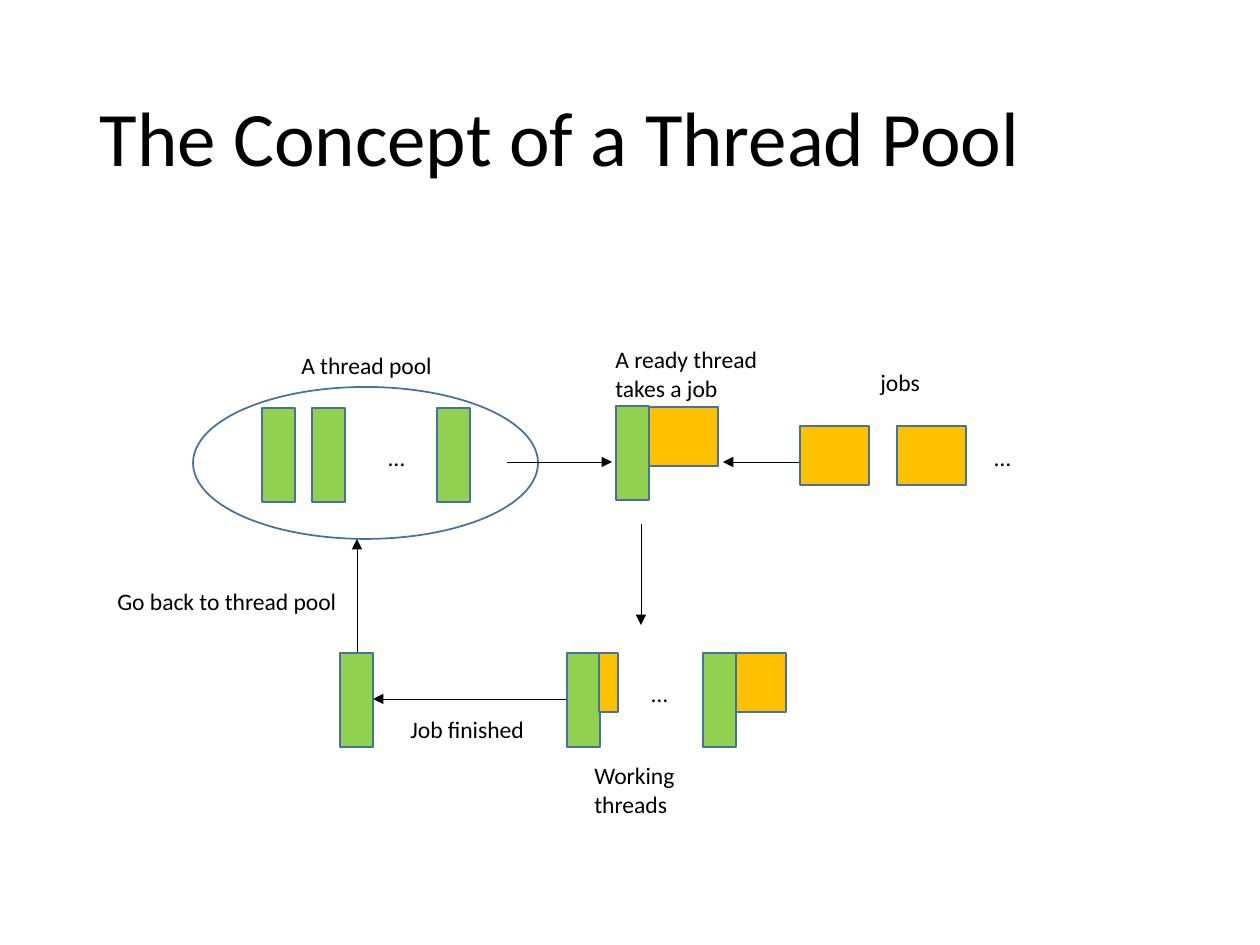
from pptx import Presentation
from pptx import util as u
from pptx.dml.color import RGBColor
from pptx.enum import shapes, text
from pptx.oxml.ns import qn
from lxml import etree

# Content, in pixels at 126 to the inch
TITLE = "The Concept of a Thread Pool"
POOL = (193, 387, 345, 152)
THREADS = [(262, 408), (312, 408), (437, 408), (616, 406),
           (567, 653), (703, 653), (340, 653)]
JOBS = [(800, 426, 69), (897, 426, 69), (649, 407, 69),
        (599, 653, 19), (736, 653, 50)]
ARROWS = [(800, 462, 723, 462), (641, 524, 641, 625), (507, 462, 612, 462),
          (357, 678, 357, 539), (567, 699, 373, 699)]
LABELS = [("A thread pool", 289, 345, 175), ("jobs", 868, 362, 66),
          ("A ready thread takes a job", 603, 339, 192),
          ("Working threads", 582, 755, 180),
          ("Go back to thread pool", 105, 581, 249),
          ("Job finished", 398, 709, 144)]
LABELS += [("…", x, y, 38) for x, y in [(376, 437), (982, 437), (639, 673)]]
THREAD_W, THREAD_H, JOB_H = 33, 94, 59
GREEN, GOLD, EDGE, WHITE, BLACK = "92D050", "FFC000", "43739E", "FFFFFF", "000000"
FONT = "Calibri"


def px(n):
    return u.Emu(round(n * 914400 / 126))


def color(h):
    return RGBColor.from_string(h)


def write(frame, words, size):
    frame.word_wrap = True
    par = frame.paragraphs[0]
    par.alignment = text.PP_ALIGN.LEFT
    run = par.add_run()
    run.text = words
    run.font.size = u.Pt(size)
    run.font.name = FONT
    run.font.color.rgb = color(BLACK)
    return par


def block(kind, box, fill):
    shape = slide.shapes.add_shape(kind, *map(px, box))
    shape.shadow.inherit = False
    shape.fill.solid()
    shape.fill.fore_color.rgb = color(fill)
    shape.line.color.rgb = color(EDGE)
    shape.line.width = u.Pt(1)


def arrow(ends):
    line = slide.shapes.add_connector(shapes.MSO_CONNECTOR.STRAIGHT, *map(px, ends))
    line.line.color.rgb = color(BLACK)
    line.line.width = u.Pt(0.5)
    etree.SubElement(line.line._get_or_add_ln(), qn("a:tailEnd"), type="triangle")
    etree.SubElement(line._element.spPr, qn("a:effectLst"))


deck = Presentation()
deck.slide_width, deck.slide_height = px(1260), px(945)
slide = deck.slides.add_slide(deck.slide_layouts[5])

# Title
title = slide.shapes.title
title.left, title.top, title.width, title.height = map(px, (87, 50, 1086, 183))
title.text_frame.vertical_anchor = text.MSO_ANCHOR.MIDDLE
write(title.text_frame, TITLE, 44).line_spacing = 0.9

# Pool and arrows, then threads and jobs on top
RECT = shapes.MSO_SHAPE.RECTANGLE
block(shapes.MSO_SHAPE.OVAL, POOL, WHITE)
for ends in ARROWS:
    arrow(ends)
for x, y in THREADS:
    block(RECT, (x, y, THREAD_W, THREAD_H), GREEN)
for x, y, w in JOBS:
    block(RECT, (x, y, w, JOB_H), GOLD)

# Labels
for words, x, y, w in LABELS:
    label = slide.shapes.add_textbox(px(x), px(y), px(w), px(42))
    write(label.text_frame, words, 13.5)
    label.text_frame.auto_size = text.MSO_AUTO_SIZE.SHAPE_TO_FIT_TEXT

deck.save("out.pptx")
